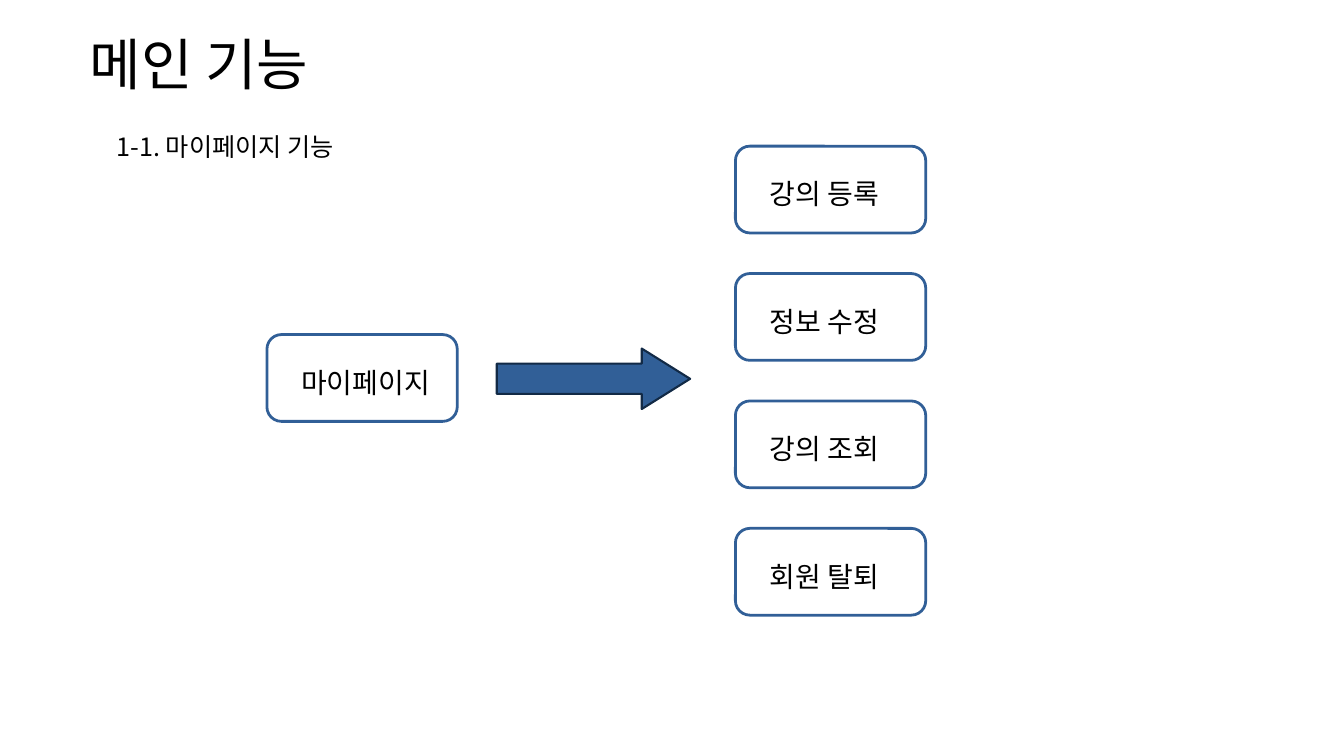
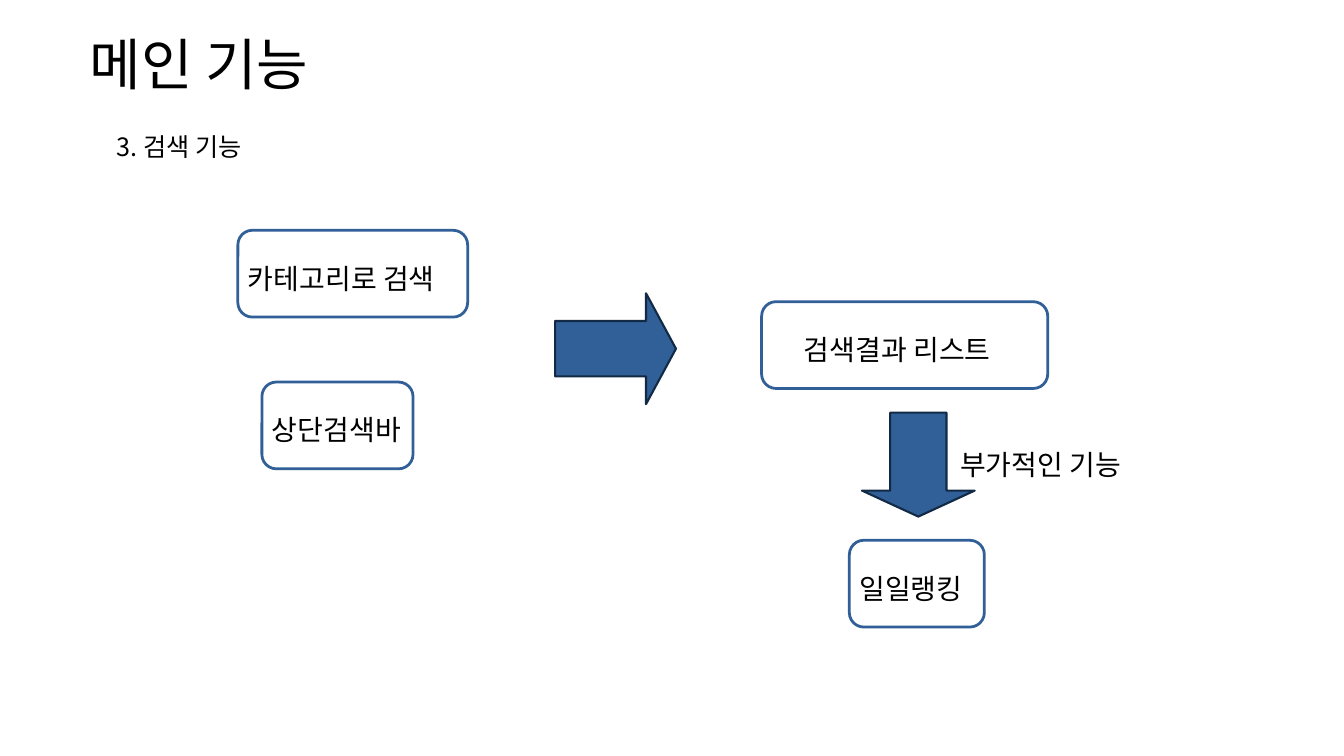
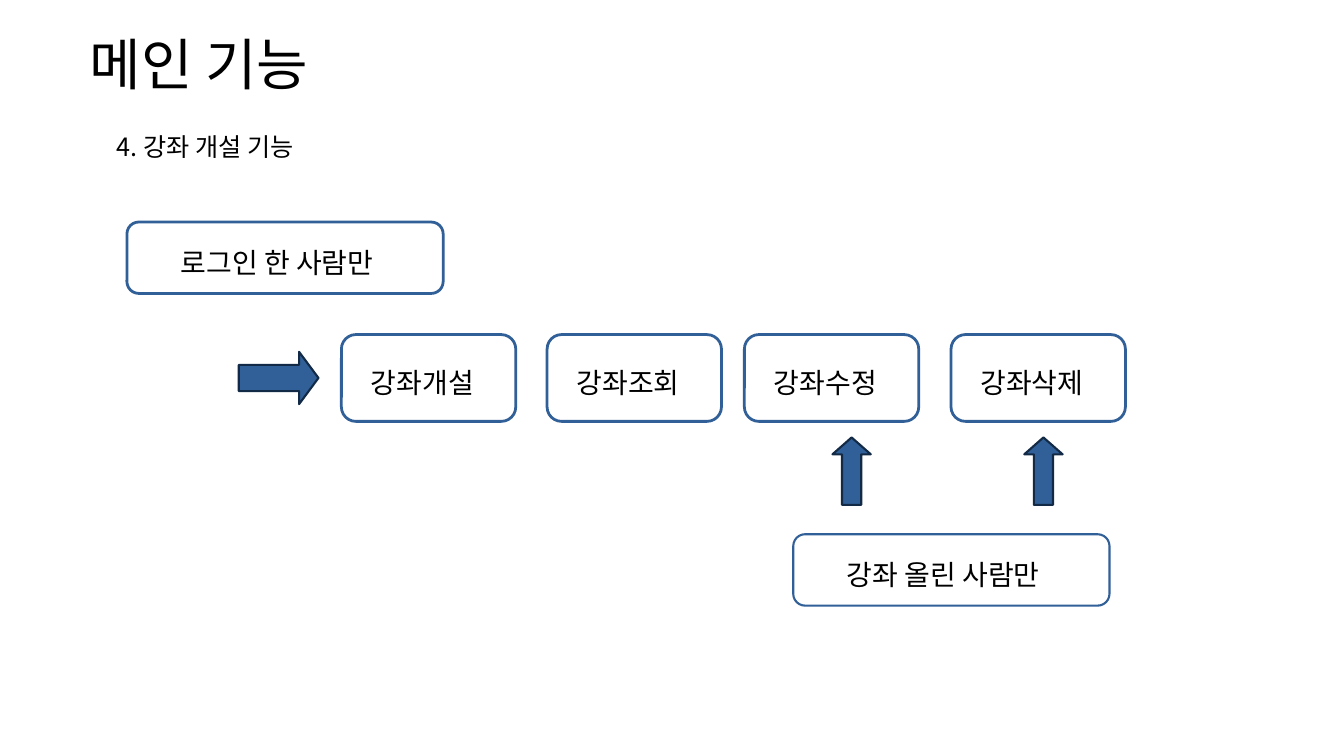
from pptx import Presentation
from pptx.dml.color import RGBColor
from pptx.enum.shapes import MSO_SHAPE as Shape
from pptx.enum.text import MSO_ANCHOR as Anchor, PP_ALIGN as Align
from pptx.oxml.ns import qn
from pptx.util import Pt
from lxml import etree

# Shared style
COLORS = {"text": "000000", "box": "FFFFFF", "blue": "315F97", "edge": "122A46"}
FONT = "Noto Sans CJK KR"
TITLE = "메인 기능"
BOX_HEIGHT = 62


def color(name):
    return RGBColor.from_string(COLORS[name])


def write(frame, text, size, align=Align.LEFT):
    frame.word_wrap = True
    paragraph = frame.paragraphs[0]
    paragraph.text = text
    paragraph.alignment = align
    font = paragraph.runs[0].font
    font.name, font.size = FONT, Pt(size)
    font.color.rgb = color("text")
    # Korean glyphs take the East Asian typeface
    east_asian = etree.SubElement(paragraph.runs[0]._r.get_or_add_rPr(), qn("a:ea"))
    east_asian.set("typeface", FONT)


def label(slide, text, left, top, width, height, size=20, align=Align.LEFT):
    frame = slide.shapes.add_textbox(Pt(left), Pt(top), Pt(width), Pt(height)).text_frame
    write(frame, text, size, align)
    return frame


def outlined(slide, kind, place, fill, line, weight):
    shape = slide.shapes.add_shape(kind, *map(Pt, place))
    shape.shadow.inherit = False
    shape.fill.solid()
    shape.fill.fore_color.rgb = color(fill)
    shape.line.color.rgb = color(line)
    shape.line.width = Pt(weight)
    return shape


def box(slide, text, left, top, width, height=BOX_HEIGHT, indent=4.2, weight=1.98):
    place = (left, top, width, height)
    shape = outlined(slide, Shape.ROUNDED_RECTANGLE, place, "box", "blue", weight)
    frame = shape.text_frame
    frame.margin_left, frame.margin_right = Pt(indent), 0
    frame.margin_top, frame.margin_bottom = Pt(6), 0
    frame.vertical_anchor = Anchor.MIDDLE
    write(frame, text, 20)


def arrow(slide, kind, left, top, width, height, head):
    shape = outlined(slide, kind, (left, top, width, height), "blue", "edge", 1.5)
    shape.adjustments[0] = 0.5
    shape.adjustments[1] = head


def new_slide(deck, subtitle):
    slide = deck.slides.add_slide(deck.slide_layouts[6])
    title = label(slide, TITLE, 48.2, 0, 188, 90, 40, Align.CENTER)
    title.vertical_anchor = Anchor.MIDDLE
    label(slide, subtitle, 76.3, 90, 230, 33, 18)
    return slide


def my_page(deck):
    slide = new_slide(deck, "1-1. 마이페이지 기능")
    box(slide, "마이페이지", 190.8, 239, 136, indent=21.5)
    arrow(slide, Shape.RIGHT_ARROW, 355, 249, 138.2, 43.2, 0.8)
    for row, feature in enumerate(["강의 등록", "정보 수정", "강의 조회", "회원 탈퇴"]):
        box(slide, feature, 525.6, 104.4 + 91 * row, 136, indent=21.5)


def search(deck):
    slide = new_slide(deck, "3. 검색 기능")
    # Ways to search
    box(slide, "카테고리로 검색", 170, 164.5, 164.2)
    box(slide, "상단검색바", 187.2, 272.9, 108)
    arrow(slide, Shape.RIGHT_ARROW, 396.7, 209.5, 86.4, 79.2, 0.27)
    # Results and the extra feature
    box(slide, "검색결과 리스트", 544.3, 215.5, 204.5, indent=27.2)
    arrow(slide, Shape.DOWN_ARROW, 616, 294.8, 80.6, 74.2, 0.25)
    label(slide, "부가적인 기능", 679, 316, 137.5, 36)
    box(slide, "일일랭킹", 607, 385.9, 96.5)


def course_opening(deck):
    slide = new_slide(deck, "4. 강좌 개설 기능")
    # Course actions
    actions = {"강좌개설": 244, "강좌조회": 391, "강좌수정": 532, "강좌삭제": 679.7}
    for action, left in actions.items():
        box(slide, action, left, 239, 124.6, indent=18)
    arrow(slide, Shape.RIGHT_ARROW, 170.6, 251.3, 57, 37.4, 0.37)
    for left in (594.9, 732):
        arrow(slide, Shape.UP_ARROW, left, 312.5, 27.4, 48.2, 0.44)
    # Who may use them
    box(slide, "로그인 한 사람만", 90.7, 158.6, 226, 51, indent=35.8)
    box(slide, "강좌 올린 사람만", 566.9, 381.6, 226, 51, indent=35.8, weight=1.5)


def main():
    deck = Presentation()
    deck.slide_width, deck.slide_height = Pt(960.48), Pt(540)
    my_page(deck)
    search(deck)
    course_opening(deck)
    deck.save("out.pptx")


if __name__ == "__main__":
    main()
